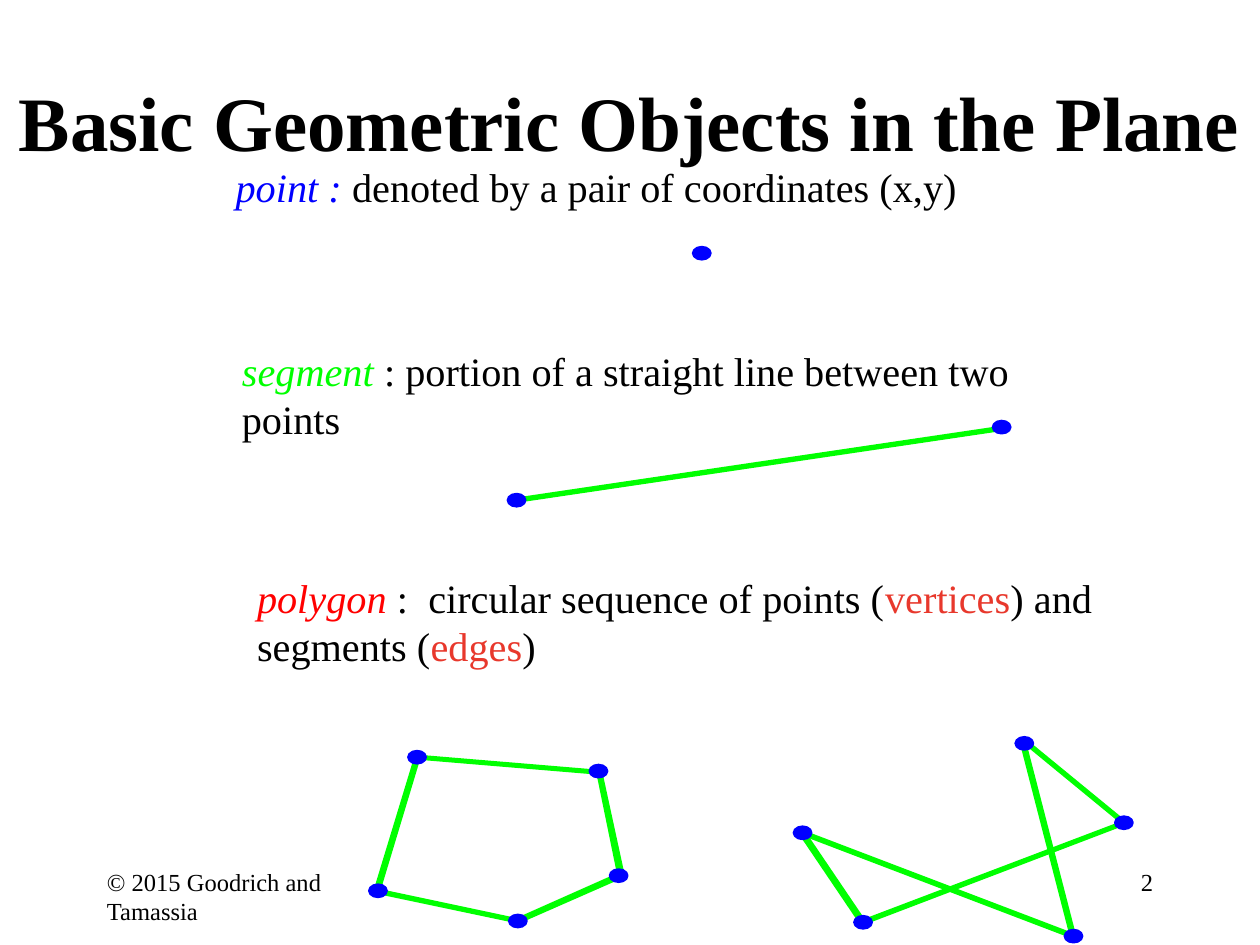
import pptx
import pptx.dml.color
import pptx.enum.shapes
import pptx.enum.text
import pptx.util
from pptx.util import Inches

COLORS = {"ink": "000000", "point": "0000FF", "segment": "00FF00",
          "polygon": "FF0000", "accent": "E8382C"}
FONT = "Times New Roman"
DOT_WIDTH, DOT_HEIGHT = 0.14, 0.10


def rgb(name):
    return pptx.dml.color.RGBColor.from_string(COLORS[name])


def write(paragraph, size, pieces):
    """Fill a paragraph with (text, color, italic) runs."""
    for text, color, italic in pieces:
        run = paragraph.add_run()
        run.text = text
        run.font.name = FONT
        run.font.size = pptx.util.Pt(size)
        run.font.italic = italic
        run.font.color.rgb = rgb(color)


deck = pptx.Presentation()
deck.slide_width, deck.slide_height = Inches(10), Inches(7.5)
slide = deck.slides.add_slide(deck.slide_layouts[5])

# Title
title = slide.shapes.title
title.left, title.top = Inches(0), Inches(0.33)
title.width, title.height = Inches(10), Inches(1.25)
title.text_frame.vertical_anchor = pptx.enum.text.MSO_ANCHOR.MIDDLE
heading = title.text_frame.paragraphs[0]
heading.alignment = pptx.enum.text.PP_ALIGN.CENTER
write(heading, 44, [("Basic Geometric Objects in the Plane", "ink", False)])
heading.runs[0].font.bold = True

# Footer and page number
for left, text, alignment in [
    (0.75, "© 2015 Goodrich and Tamassia", pptx.enum.text.PP_ALIGN.LEFT),
    (7.17, "2", pptx.enum.text.PP_ALIGN.RIGHT),
]:
    footer = slide.shapes.add_textbox(Inches(left), Inches(6.83), Inches(2.08), Inches(0.5))
    footer.text_frame.word_wrap = True
    footer.text_frame.paragraphs[0].alignment = alignment
    write(footer.text_frame.paragraphs[0], 14, [(text, "ink", False)])

# Definitions: box, wrapping, paragraphs of runs
definitions = [
    ((1.87, 1.29, 7.55, 0.38), True, [
        [("point : ", "point", True),
         ("denoted by a pair of coordinates (x,y)", "ink", False)]]),
    ((1.92, 2.75, 6.9, 0.38), True, [
        [("segment ", "segment", True),
         (": portion of a straight line between two points", "ink", False)]]),
    ((2.04, 4.55, 6.7, 0.77), False, [
        [("polygon ", "polygon", True),
         (":  circular sequence of points (", "ink", False),
         ("vertices", "accent", False), (") and", "ink", False)],
        [("segments (", "ink", False), ("edges", "accent", False), (")", "ink", False)]]),
]
for box, wraps, lines in definitions:
    definition = slide.shapes.add_textbox(*map(Inches, box))
    frame = definition.text_frame
    frame.margin_left = frame.margin_right = frame.margin_top = frame.margin_bottom = 0
    frame.word_wrap = wraps
    frame.auto_size = pptx.enum.text.MSO_AUTO_SIZE.SHAPE_TO_FIT_TEXT
    for index, pieces in enumerate(lines):
        paragraph = frame.add_paragraph() if index else frame.paragraphs[0]
        write(paragraph, 23, pieces)

# Edges are thin four-cornered bands
edges = [
    # Segment
    [(4.09, 3.95), (4.11, 3.99), (7.96, 3.42), (7.94, 3.38)],
    # Simple polygon
    [(3.32, 5.99), (3.32, 6.03), (4.76, 6.15), (4.76, 6.11)],
    [(2.97, 7.05), (3.02, 7.07), (3.34, 6.01), (3.29, 6.00)],
    [(4.78, 6.12), (4.73, 6.12), (4.90, 6.95), (4.96, 6.95)],
    [(4.09, 7.29), (4.12, 7.33), (4.94, 6.97), (4.90, 6.93)],
    [(2.99, 7.05), (2.97, 7.09), (4.11, 7.33), (4.12, 7.29)],
    # Self-crossing polygon
    [(8.15, 5.91), (8.10, 5.92), (8.49, 7.43), (8.54, 7.42)],
    [(6.40, 6.61), (6.34, 6.62), (6.82, 7.33), (6.88, 7.32)],
    [(8.15, 5.87), (8.12, 5.90), (8.90, 6.54), (8.93, 6.51)],
    [(8.93, 6.55), (8.92, 6.51), (6.84, 7.30), (6.86, 7.34)],
    [(8.51, 7.45), (8.53, 7.41), (6.38, 6.59), (6.36, 6.63)],
]
for corners in edges:
    start, *others = [(Inches(x), Inches(y)) for x, y in corners]
    outline = slide.shapes.build_freeform(*start)
    outline.add_line_segments(others, close=True)
    edge = outline.convert_to_shape()
    edge.shadow.inherit = False
    edge.fill.solid()
    edge.fill.fore_color.rgb = rgb("segment")
    edge.line.fill.background()

# Point centres
points = [
    (5.57, 2.01),
    (4.10, 3.97), (7.95, 3.39),
    (3.31, 6.01), (3.00, 7.07), (4.91, 6.95), (4.11, 7.31), (4.75, 6.12),
    (8.52, 7.43), (6.37, 6.61), (8.92, 6.53), (6.85, 7.32), (8.13, 5.90),
]
for x, y in points:
    dot = slide.shapes.add_shape(
        pptx.enum.shapes.MSO_SHAPE.OVAL,
        Inches(x - DOT_WIDTH / 2), Inches(y - DOT_HEIGHT / 2),
        Inches(DOT_WIDTH), Inches(DOT_HEIGHT))
    dot.shadow.inherit = False
    dot.fill.solid()
    dot.fill.fore_color.rgb = rgb("point")
    dot.line.color.rgb = rgb("point")
    dot.line.width = pptx.util.Pt(1.25)

deck.save("out.pptx")
